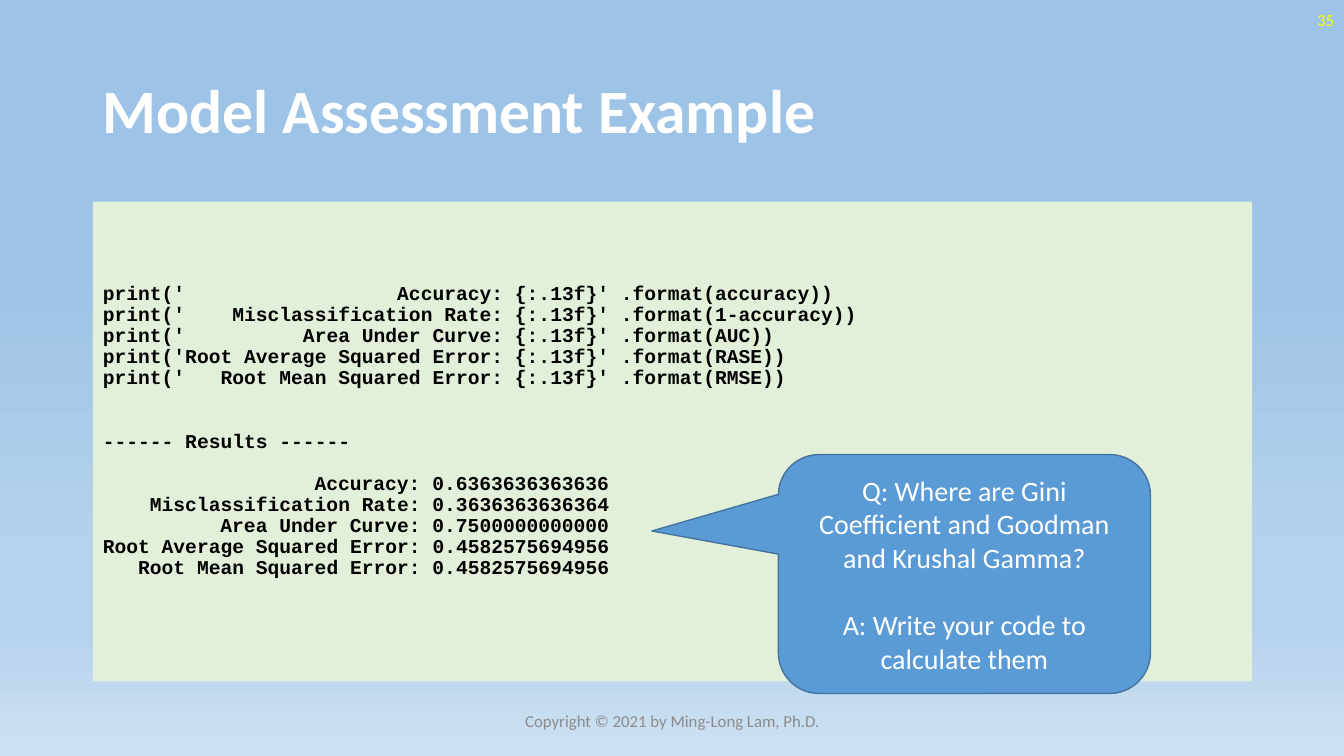
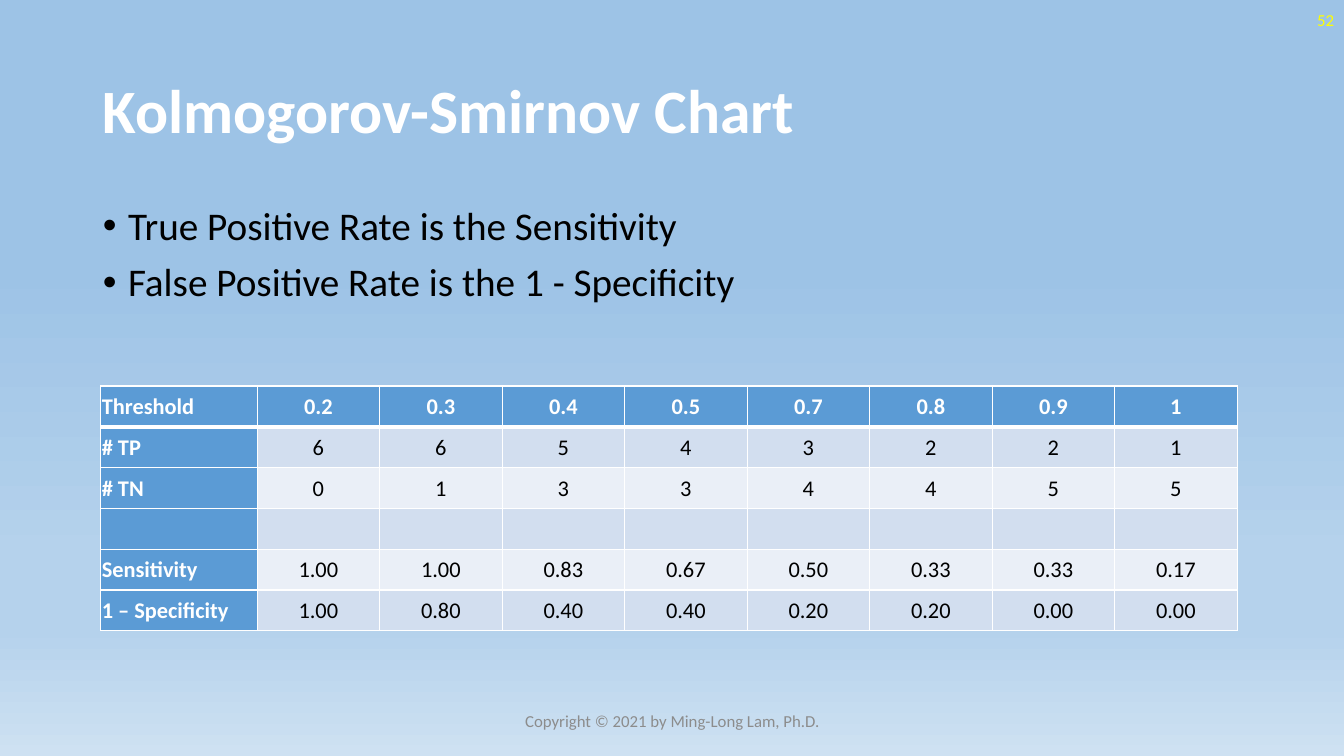
from dataclasses import dataclass

from lxml.etree import SubElement
from pptx import Presentation
from pptx.dml.color import RGBColor
from pptx.enum.shapes import MSO_SHAPE
from pptx.enum.text import MSO_ANCHOR, MSO_AUTO_SIZE, PP_ALIGN
from pptx.oxml.ns import qn
from pptx.util import Inches, Pt

WHITE = RGBColor(0xFF, 0xFF, 0xFF)
BLACK = RGBColor(0x00, 0x00, 0x00)
YELLOW = RGBColor(0xFF, 0xFF, 0x00)
GREY = RGBColor(0x8C, 0x8C, 0x8C)
GREEN = RGBColor(0xE2, 0xF0, 0xD9)
BLUE = RGBColor(0x5B, 0x9B, 0xD5)
NAVY = RGBColor(0x43, 0x73, 0x9E)
BANDS = (RGBColor(0xD2, 0xDE, 0xEF), RGBColor(0xEA, 0xEF, 0xF7))
SKY = (
    (35, RGBColor(0x9D, 0xC3, 0xE6)),
    (74, RGBColor(0xB5, 0xD2, 0xEC)),
    (83, RGBColor(0xB5, 0xD2, 0xEC)),
    (100, RGBColor(0xCE, 0xE1, 0xF2)),
)
SANS, MONO = "Calibri", "Courier New"
FOOTER = "Copyright © 2021 by Ming-Long Lam, Ph.D."
CODE_SIZE = 14
CHAR = 0.6 * CODE_SIZE / 72  # width of one fixed-pitch letter, in inches


@dataclass(frozen=True)
class Box:
    left: float
    top: float
    width: float
    height: float

    def place(self, shape) -> None:
        shape.left, shape.top, shape.width, shape.height = self.lengths()

    def lengths(self) -> tuple:
        return tuple(Inches(n) for n in (self.left, self.top, self.width, self.height))


@dataclass(frozen=True)
class Line:
    text: str
    before: float = 0  # points
    indent: float = 0  # inches
    bullet: bool = False


@dataclass(frozen=True)
class Metric:
    name: str
    code: str
    value: str


TITLE = Box(0.92, 0.4, 11.5, 1.45)
BODY = Box(0.92, 2, 11.5, 4.76)
NUMBER = Box(10.33, 0, 3, 0.4)
FOOT = Box(4.42, 6.95, 4.5, 0.4)
CALLOUT = Box(7.72, 4.51, 3.69, 2.37)
GRID = Box(1, 3.83, 11.27, 2.43)
HEAD = 1.55  # width of the first column

METRICS = (
    Metric("Accuracy", "accuracy", "0.6363636363636"),
    Metric("Misclassification Rate", "1-accuracy", "0.3636363636364"),
    Metric("Area Under Curve", "AUC", "0.7500000000000"),
    Metric("Root Average Squared Error", "RASE", "0.4582575694956"),
    Metric("Root Mean Squared Error", "RMSE", "0.4582575694956"),
)
ROWS = (
    "Threshold|0.2|0.3|0.4|0.5|0.7|0.8|0.9|1",
    "# TP|6|6|5|4|3|2|2|1",
    "# TN|0|1|3|3|4|4|5|5",
    "||||||||",
    "Sensitivity|1.00|1.00|0.83|0.67|0.50|0.33|0.33|0.17",
    "1 – Specificity|1.00|0.80|0.40|0.40|0.20|0.20|0.00|0.00",
)


def write(frame, *lines: Line, size: float, color: RGBColor, font: str = SANS,
          bold: bool = False, align=PP_ALIGN.LEFT, pitch=1.0) -> None:
    """Fill a text frame; pitch is a line factor or a Pt length."""
    for i, line in enumerate(lines):
        para = frame.add_paragraph() if i else frame.paragraphs[0]
        para.alignment, para.line_spacing = align, pitch
        para.space_before, para.space_after = Pt(line.before), Pt(0)
        props = para._p.get_or_add_pPr()
        hang = 0.25 if line.bullet else 0
        props.set("marL", str(Inches(line.indent + hang)))
        props.set("indent", str(Inches(-hang)))
        if line.bullet:
            SubElement(props, qn("a:buChar"), char="•")
        else:
            SubElement(props, qn("a:buNone"))
        para.font.size = Pt(size)
        if line.text:
            run = para.add_run()
            run.text = line.text
            run.font.name, run.font.size, run.font.bold = font, Pt(size), bold
            run.font.color.rgb = color


def set_frame(frame, anchor) -> None:
    frame.word_wrap = True
    frame.auto_size = MSO_AUTO_SIZE.NONE
    frame.vertical_anchor = anchor


def paint_sky(master) -> None:
    fill = master.background.fill
    fill.gradient()
    fill.gradient_angle = 270
    stops = next(master.element.iter(qn("a:gsLst")))
    for stop in list(stops):
        stops.remove(stop)
    for spot, color in SKY:
        stop = SubElement(stops, qn("a:gs"), pos=str(spot * 1000))
        SubElement(stop, qn("a:srgbClr"), val=str(color))


def add_label(slide, box: Box, text: str, color: RGBColor, align) -> None:
    frame = slide.shapes.add_textbox(*box.lengths()).text_frame
    set_frame(frame, MSO_ANCHOR.MIDDLE)
    write(frame, Line(text), size=12, color=color, align=align)


def add_page(deck, title: str, number: int):
    """Add a slide with its title, page number and footer."""
    slide = deck.slides.add_slide(deck.slide_layouts[1])
    head, body = slide.shapes.title, slide.placeholders[1]
    TITLE.place(head)
    BODY.place(body)
    set_frame(head.text_frame, MSO_ANCHOR.MIDDLE)
    write(head.text_frame, Line(title), size=44, color=WHITE, bold=True, pitch=0.9)
    add_label(slide, NUMBER, str(number), YELLOW, PP_ALIGN.RIGHT)
    add_label(slide, FOOT, FOOTER, GREY, PP_ALIGN.CENTER)
    return slide, body


def add_callout(slide) -> None:
    shape = slide.shapes.add_shape(MSO_SHAPE.ROUNDED_RECTANGULAR_CALLOUT,
                                   *CALLOUT.lengths())
    for i, value in enumerate((-0.84, -0.18, 0.17)):
        shape.adjustments[i] = value
    shape.shadow.inherit = False
    shape.fill.solid()
    shape.fill.fore_color.rgb = BLUE
    shape.line.color.rgb, shape.line.width = NAVY, Pt(1)
    set_frame(shape.text_frame, MSO_ANCHOR.MIDDLE)
    write(shape.text_frame,
          Line("Q: Where are Gini Coefficient and Goodman and Krushal Gamma?"),
          Line("A: Write your code to calculate them", before=24),
          size=20, color=WHITE, align=PP_ALIGN.CENTER)


def add_borders(cell, header: bool) -> None:
    props = cell._tc.get_or_add_tcPr()
    for i, side in enumerate("LRTB"):
        thick = header and side == "B"
        edge = SubElement(props, qn(f"a:ln{side}"), w=str(Pt(3 if thick else 1)))
        SubElement(SubElement(edge, qn("a:solidFill")), qn("a:srgbClr"), val=str(WHITE))
        props.insert(i, edge)  # borders come before the fill


def add_grid(slide) -> None:
    cells = [row.split("|") for row in ROWS]
    count = len(cells[0])
    table = slide.shapes.add_table(len(cells), count, *GRID.lengths()).table
    for c, column in enumerate(table.columns):
        column.width = Inches((GRID.width - HEAD) / (count - 1) if c else HEAD)
    for r, texts in enumerate(cells):
        table.rows[r].height = Inches(GRID.height / len(cells))
        for c, text in enumerate(texts):
            cell = table.cell(r, c)
            strong = r == 0 or c == 0
            cell.fill.solid()
            cell.fill.fore_color.rgb = BLUE if strong else BANDS[(r - 1) % 2]
            cell.margin_left = cell.margin_right = cell.margin_top = Inches(0.01)
            cell.margin_bottom = 0
            cell.vertical_anchor = MSO_ANCHOR.MIDDLE
            write(cell.text_frame, Line(text), size=16, bold=strong,
                  color=WHITE if strong else BLACK,
                  align=PP_ALIGN.CENTER if c else PP_ALIGN.LEFT)
            add_borders(cell, r == 0)


def add_model(deck) -> None:
    slide, body = add_page(deck, "Model Assessment Example", 35)
    body.fill.solid()
    body.fill.fore_color.rgb = GREEN
    set_frame(body.text_frame, MSO_ANCHOR.MIDDLE)
    body.text_frame.margin_bottom = Inches(0.26)
    width = max(len(m.name) for m in METRICS)
    code = [Line(f"print('{m.name:>{width}}: {{:.13f}}' .format({m.code}))")
            for m in METRICS]
    # Indents line the results up at the colon
    results = [Line(f"{m.name}: {m.value}", before=0 if i else 15,
                    indent=(width - len(m.name)) * CHAR)
               for i, m in enumerate(METRICS)]
    write(body.text_frame, *code, Line("------ Results ------", before=30), *results,
          size=CODE_SIZE, color=BLACK, font=MONO, bold=True, pitch=Pt(15.1))
    add_callout(slide)


def add_rates(deck) -> None:
    slide, body = add_page(deck, "Kolmogorov-Smirnov Chart", 52)
    set_frame(body.text_frame, MSO_ANCHOR.TOP)
    write(body.text_frame,
          Line("True Positive Rate is the Sensitivity", before=10, bullet=True),
          Line("False Positive Rate is the 1 - Specificity", before=10, bullet=True),
          size=28, color=BLACK, pitch=0.9)
    add_grid(slide)


def main() -> None:
    deck = Presentation()
    deck.slide_width, deck.slide_height = Inches(13.33), Inches(7.5)
    paint_sky(deck.slide_master)
    add_model(deck)
    add_rates(deck)
    deck.save("out.pptx")


if __name__ == "__main__":
    main()
